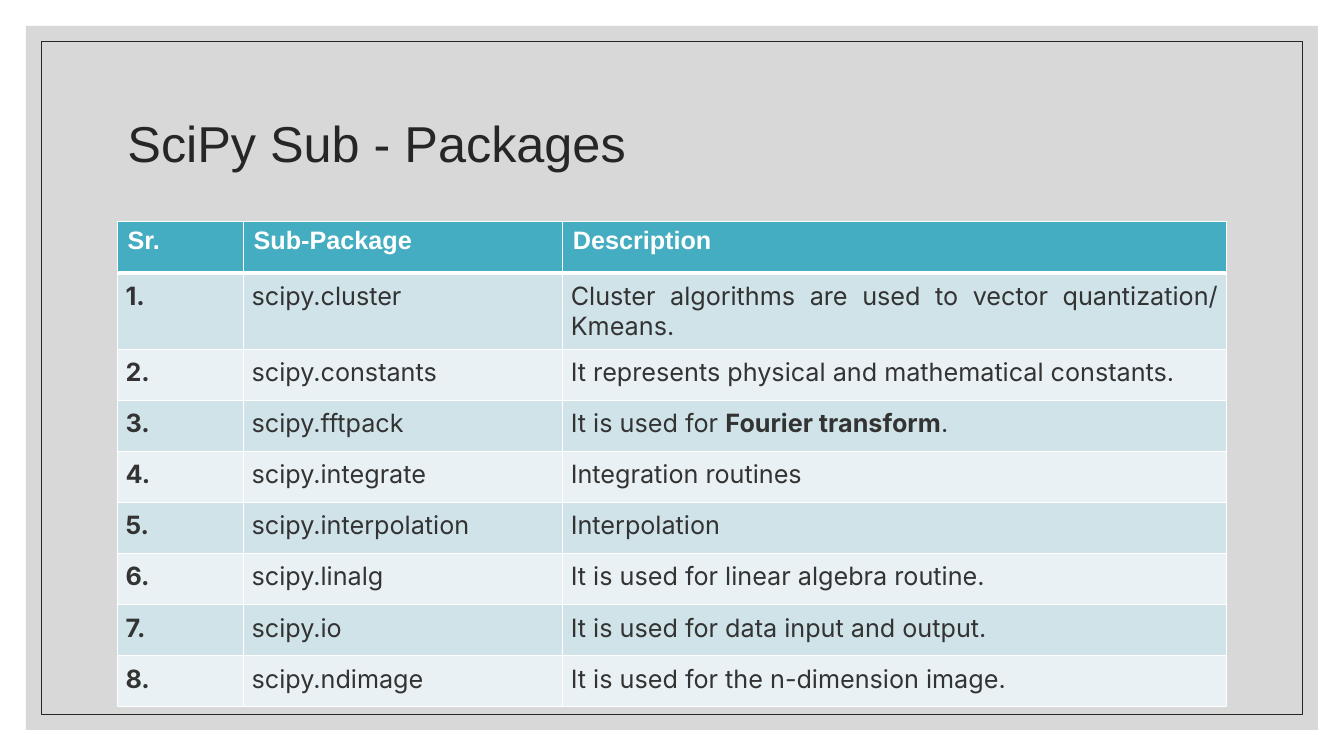
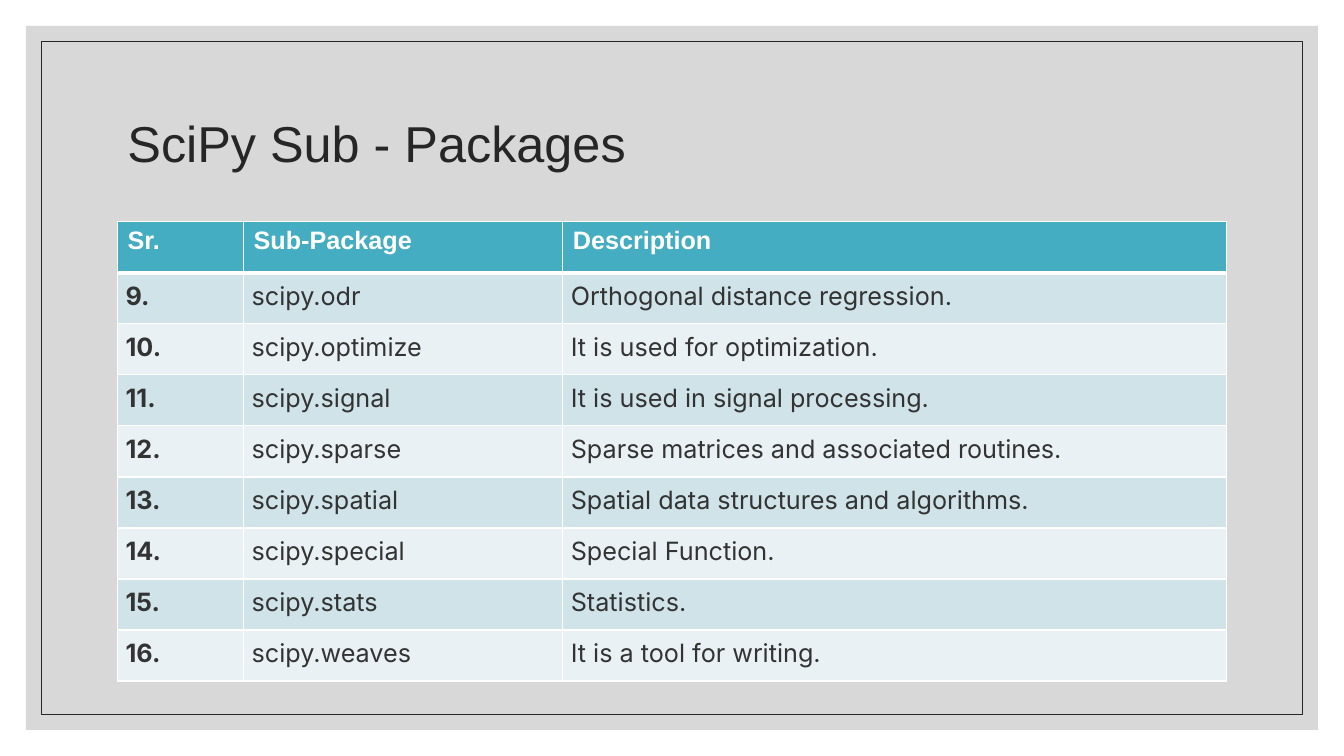
from lxml.etree import SubElement
from pptx import Presentation
from pptx.dml.color import RGBColor
from pptx.enum.shapes import MSO_SHAPE
from pptx.enum.text import MSO_ANCHOR, PP_ALIGN
from pptx.oxml import parse_xml
from pptx.oxml.ns import nsdecls, qn
from pptx.util import Inches, Pt

# Grid: 160 columns by 90 rows of square cells
CELL = Inches(1) // 12
COLUMNS, ROWS = 160, 90

# Colours
WHITE = RGBColor(0xFF, 0xFF, 0xFF)
PANEL = RGBColor(0xBF, 0xBF, 0xBF)
INK = RGBColor(0x26, 0x26, 0x26)
BODY = RGBColor(0x33, 0x33, 0x33)
TEAL = RGBColor(0x45, 0xAD, 0xC1)
BANDS = (RGBColor(0xE9, 0xF1, 0xF4), RGBColor(0xCF, 0xE3, 0xE9))

# Content: package name and description, with *bold* spans
TITLE = "SciPy Sub - Packages"
HEADINGS = ("Sr.", "Sub-Package", "Description")
PACKAGES = (
    ("cluster", "Cluster algorithms are used to vector quantization/ Kmeans."),
    ("constants", "It represents physical and mathematical constants."),
    ("fftpack", "It is used for *Fourier transform*."),
    ("integrate", "Integration routines"),
    ("interpolation", "Interpolation"),
    ("linalg", "It is used for linear algebra routine."),
    ("io", "It is used for data input and output."),
    ("ndimage", "It is used for the n-dimension image."),
    ("odr", "Orthogonal distance regression."),
    ("optimize", "It is used for optimization."),
    ("signal", "It is used in signal processing."),
    ("sparse", "Sparse matrices and associated routines."),
    ("spatial", "Spatial data structures and algorithms."),
    ("special", "Special Function."),
    ("stats", "Statistics."),
    ("weaves", "It is a tool for writing."),
)
PER_PAGE = 8


def grid(*cells):
    return [round(count * CELL) for count in cells]


class Pages:
    """Holds the deck's style and the slide being filled."""

    heading_font, body_font = "Arial", "Inter"
    title_size, text_size = Pt(36), Pt(18)
    left, width = 14, 132
    column_widths = (15, 38, 79)
    row_height = 6.08

    def __init__(self):
        self.deck = Presentation()
        self.deck.slide_width, self.deck.slide_height = grid(COLUMNS, ROWS)
        self.page = None

    def add_page(self, title):
        self.page = self.deck.slides.add_slide(self.deck.slide_layouts[6])
        self.page.background.fill.solid()
        self.page.background.fill.fore_color.rgb = WHITE
        self.add_panel(3.1)
        self.add_frame(4.9)
        self.add_title(title)

    def inset_box(self, margin):
        box = self.page.shapes.add_shape(
            MSO_SHAPE.RECTANGLE,
            *grid(margin, margin, COLUMNS - 2 * margin, ROWS - 2 * margin))
        box.shadow.inherit = False
        return box

    def add_panel(self, margin):
        panel = self.inset_box(margin)
        panel.fill.solid()
        panel.fill.fore_color.rgb = PANEL
        panel.line.fill.background()
        colour = panel._element.spPr.find(qn("a:solidFill"))[0]
        SubElement(colour, qn("a:alpha"), val="60000")

    def add_frame(self, margin):
        frame = self.inset_box(margin)
        frame.fill.background()
        frame.line.color.rgb = INK
        frame.line.width = Pt(0.5)

    def add_title(self, text):
        box = self.page.shapes.add_textbox(*grid(self.left, 8.4, self.width, 18))
        box.text_frame.word_wrap = True
        box.text_frame.vertical_anchor = MSO_ANCHOR.MIDDLE
        para = box.text_frame.paragraphs[0]
        para.line_spacing = 0.9
        self.set_text(para, text, self.heading_font, self.title_size, INK)

    def set_text(self, para, text, font, size, colour, bold=False):
        para.font.name, para.font.size = font, size
        para.font.color.rgb = colour
        para.font.bold = bold
        for index, part in enumerate(text.split("*")):
            span = para.add_run()
            span.text = part
            if index % 2:
                span.font.bold = True

    def add_table(self, headings, records):
        row_count = len(records) + 1
        table = self.page.shapes.add_table(
            row_count, len(headings),
            *grid(self.left, 26.4, self.width, self.row_height * row_count)).table
        for column, width in zip(table.columns, grid(*self.column_widths)):
            column.width = width
        for row in table.rows:
            row.height = grid(self.row_height)[0]
        for column, text in enumerate(headings):
            self.fill_heading(table.cell(0, column), text)
        for row, record in enumerate(records, start=1):
            for column, text in enumerate(record):
                self.fill_body(table.cell(row, column), text, row, column)

    def fill_heading(self, cell, text):
        self.paint(cell, TEAL, bottom=3)
        self.set_text(cell.text_frame.paragraphs[0], text,
                      self.heading_font, self.text_size, WHITE, bold=True)

    def fill_body(self, cell, text, row, column):
        self.paint(cell, BANDS[row % 2], top=3 if row == 1 else 1)
        inset = Inches(0.08)
        cell.margin_left = cell.margin_right = inset
        cell.margin_top = cell.margin_bottom = inset
        para = cell.text_frame.paragraphs[0]
        para.alignment = PP_ALIGN.JUSTIFY
        self.set_text(para, text, self.body_font, self.text_size, BODY,
                      bold=column == 0)

    def paint(self, cell, colour, top=1, bottom=1):
        cell.fill.solid()
        cell.fill.fore_color.rgb = colour
        properties = cell._tc.get_or_add_tcPr()
        sides = (("L", 1), ("R", 1), ("T", top), ("B", bottom))
        for position, (side, points) in enumerate(sides):
            properties.insert(position, parse_xml(
                f'<a:ln{side} {nsdecls("a")} w="{Pt(points)}"><a:solidFill>'
                f'<a:srgbClr val="{WHITE}"/></a:solidFill></a:ln{side}>'))


def main():
    pages = Pages()
    records = [(f"{number}.", f"scipy.{name}", description)
               for number, (name, description) in enumerate(PACKAGES, start=1)]
    for start in range(0, len(records), PER_PAGE):
        pages.add_page(TITLE)
        pages.add_table(HEADINGS, records[start:start + PER_PAGE])
    pages.deck.save("out.pptx")


if __name__ == "__main__":
    main()
